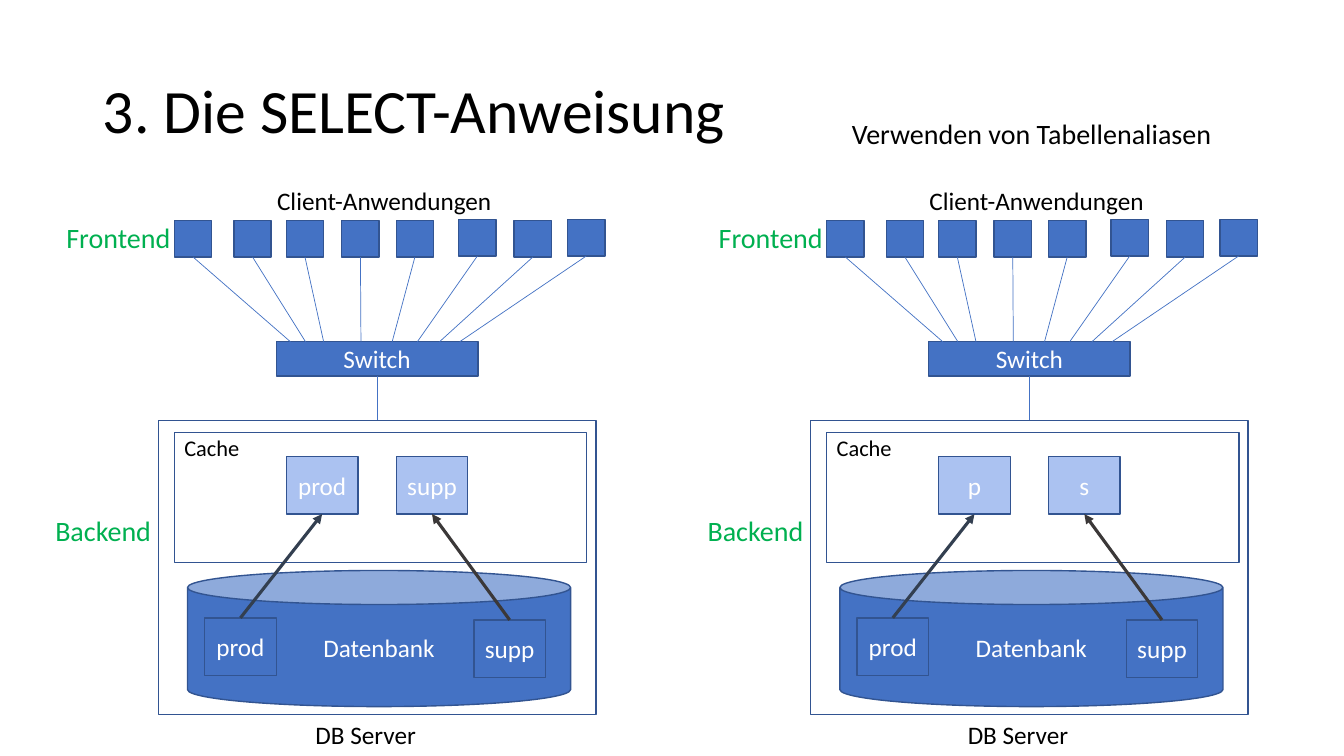
from lxml import etree
from pptx import Presentation
from pptx.dml.color import RGBColor
from pptx.enum.shapes import MSO_CONNECTOR, MSO_SHAPE
from pptx.enum.text import MSO_ANCHOR, MSO_AUTO_SIZE, PP_ALIGN
from pptx.oxml.ns import qn
from pptx.util import Inches, Pt

BLACK = RGBColor(0x00, 0x00, 0x00)
WHITE = RGBColor(0xFF, 0xFF, 0xFF)
GREEN = RGBColor(0x00, 0xB0, 0x50)
BLUE = RGBColor(0x44, 0x72, 0xC4)
DARK_BLUE = RGBColor(0x32, 0x54, 0x91)
LIGHT_BLUE = RGBColor(0xAB, 0xC2, 0xF1)
SLATE = RGBColor(0x33, 0x3F, 0x50)
CHARCOAL = RGBColor(0x3B, 0x38, 0x38)
RECTANGLE, CAN = MSO_SHAPE.RECTANGLE, MSO_SHAPE.CAN
STRAIGHT = MSO_CONNECTOR.STRAIGHT
LEFT, CENTER = PP_ALIGN.LEFT, PP_ALIGN.CENTER
TOP, MIDDLE = MSO_ANCHOR.TOP, MSO_ANCHOR.MIDDLE
GROW = MSO_AUTO_SIZE.SHAPE_TO_FIT_TEXT
TOP_SIDE, BOTTOM_SIDE = 0, 2

CLIENTS = [
    (1.28, 0.4, 2.43),
    (1.87, 0.4, 2.58),
    (2.39, 0.4, 2.76),
    (2.94, 0.4, 3.13),
    (3.48, 0.4, 3.44),
    (4.1, 0.39, 3.69),
    (4.65, 0.4, 3.91),
    (5.18, 0.39, 4.11),
]


def write(frame, text, size=18, color=BLACK, align=LEFT, anchor=TOP):
    frame.vertical_anchor = anchor
    paragraph = frame.paragraphs[0]
    paragraph.alignment = align
    run = paragraph.add_run()
    run.text = text
    run.font.name = "Calibri"
    run.font.size = Pt(size)
    run.font.color.rgb = color


def add_label(slide, box, text, **text_format):
    frame = slide.shapes.add_textbox(*map(Inches, box)).text_frame
    frame.word_wrap = False
    frame.auto_size = GROW
    write(frame, text, **text_format)


def add_block(slide, box, text="", fill=BLUE, kind=RECTANGLE):
    block = slide.shapes.add_shape(kind, *map(Inches, box))
    block.shadow.inherit = False
    block.fill.solid()
    block.fill.fore_color.rgb = fill
    block.line.color.rgb = DARK_BLUE
    block.line.width = Pt(1)
    if text:
        write(block.text_frame, text, color=WHITE, align=CENTER, anchor=MIDDLE)
    return block


def add_link(slide, source, source_side, target=None, end=(0, 0), color=BLUE, width=0.5, arrow=False):
    link = slide.shapes.add_connector(STRAIGHT, 0, 0, *map(Inches, end))
    link.begin_connect(source, source_side)
    if target is not None:
        link.end_connect(target, BOTTOM_SIDE if source_side == TOP_SIDE else TOP_SIDE)
    link.line.color.rgb = color
    link.line.width = Pt(width)
    if arrow:
        etree.SubElement(link.line._get_or_add_ln(), qn("a:tailEnd"), type="triangle")
    etree.SubElement(link._element.spPr, qn("a:effectLst"))


def add_header(slide, left, top, width, height):
    title = slide.shapes.title
    title.left, title.top, title.width, title.height = map(Inches, (left, top, width, height))
    write(title.text_frame, "3. Die SELECT-Anweisung", size=44, anchor=MIDDLE)
    title.text_frame.paragraphs[0].line_spacing = 0.9
    add_label(slide, (left + 7.43, top + 0.71, 3.8, 0.44), "Verwenden von Tabellenaliasen", size=20)


def add_architecture(slide, left, top, cached_names):
    def at(x, y, width, height):
        return left + x, top + y, width, height

    server = add_block(slide, at(1.12, 2.38, 4.34, 2.92), fill=WHITE)
    switch = add_block(slide, at(2.29, 1.6, 2, 0.34), "Switch")
    add_link(slide, switch, BOTTOM_SIDE, server)
    for x, y, switch_x in CLIENTS:
        client = add_block(slide, at(x, y, 0.37, 0.36))
        add_link(slide, client, BOTTOM_SIDE, end=(left + switch_x, top + 1.6))

    add_block(slide, at(1.41, 3.87, 3.8, 1.35), "Datenbank", kind=CAN)
    add_label(slide, at(2.58, 5.3, 1.21, 0.4), "DB Server")
    add_block(slide, at(1.28, 2.5, 4.09, 1.29), fill=WHITE)
    add_label(slide, at(1.28, 2.47, 0.75, 0.37), "Cache", size=16)
    add_label(slide, at(0, 3.26, 1.16, 0.44), "Backend", size=20, color=GREEN)
    add_label(slide, at(0.11, 0.35, 1.24, 0.44), "Frontend", size=20, color=GREEN)
    add_label(slide, at(2.2, 0, 2.36, 0.4), "Client-Anwendungen")

    tables = [("prod", 1.58, 4.34, 2.39, SLATE), ("supp", 4.25, 4.36, 3.48, CHARCOAL)]
    for (name, x, y, cached_x, color), cached_name in zip(tables, cached_names):
        table = add_block(slide, at(x, y, 0.71, 0.57), name)
        cached = add_block(slide, at(cached_x, 2.74, 0.71, 0.57), cached_name, fill=LIGHT_BLUE)
        add_link(slide, table, TOP_SIDE, cached, color=color, width=2.25, arrow=True)


def main():
    presentation = Presentation()
    presentation.slide_width = Inches(13.33)
    presentation.slide_height = Inches(7.5)
    slide = presentation.slides.add_slide(presentation.slide_layouts[5])
    add_header(slide, 0.92, 0.4, 11.5, 1.45)
    add_architecture(slide, 0.45, 1.79, ("prod", "supp"))
    add_architecture(slide, 6.92, 1.79, ("p", "s"))
    presentation.save("out.pptx")


if __name__ == "__main__":
    main()
